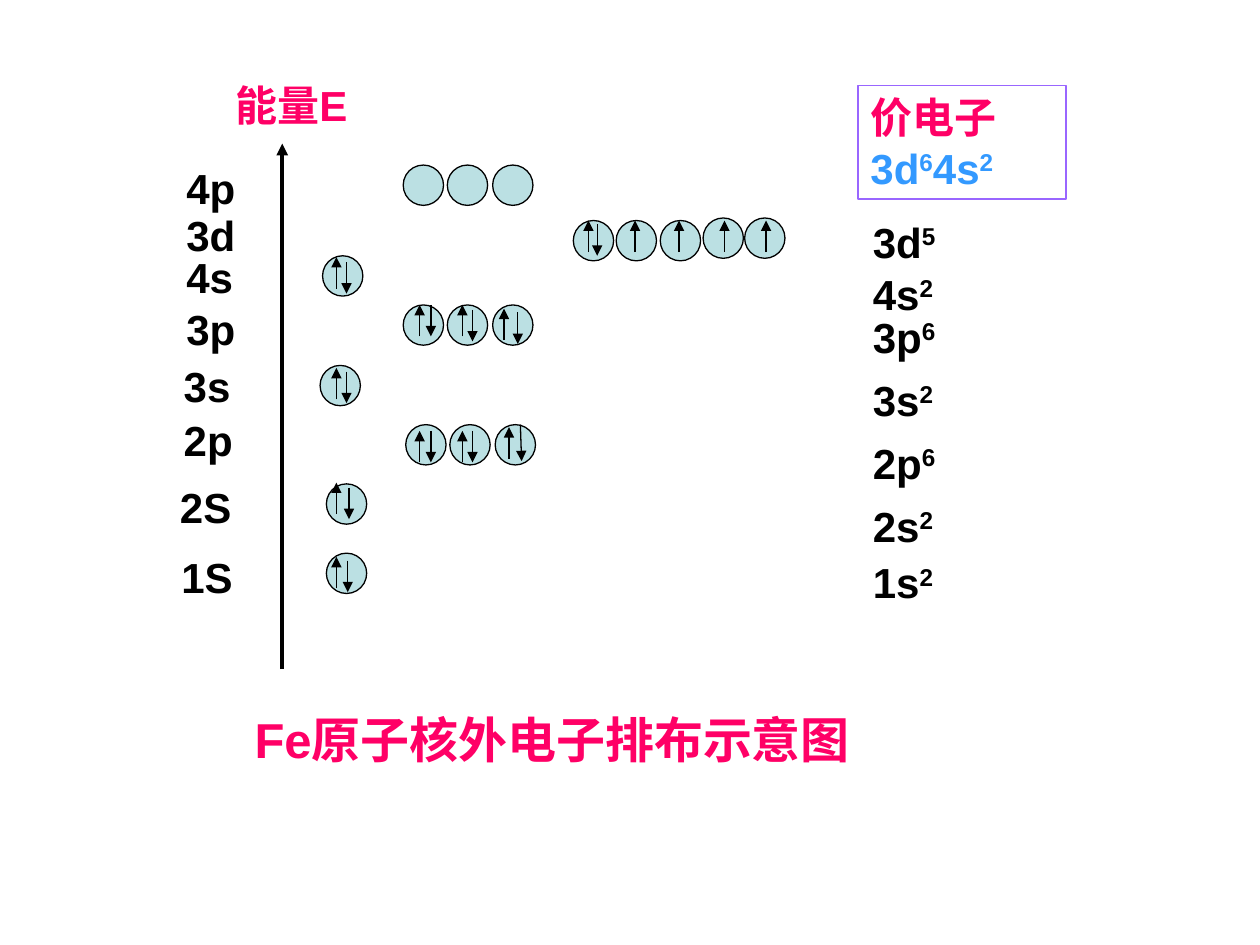
"""Draw the electron energy levels of an iron atom."""
from dataclasses import dataclass
from typing import NamedTuple

from lxml import etree
from pptx import Presentation
from pptx.dml.color import RGBColor
from pptx.enum import shapes, text
from pptx.oxml import ns
from pptx.util import Inches, Pt

BLACK = RGBColor(0x00, 0x00, 0x00)
PINK = RGBColor(0xFF, 0x00, 0x66)
BLUE = RGBColor(0x33, 0x99, 0xFF)
VIOLET = RGBColor(0x99, 0x66, 0xFF)
AQUA = RGBColor(0xBB, 0xE0, 0xE3)

SIZE = 0.32
SPIN = 0.25
HIGH = 0.5


class Spin(NamedTuple):
    x: float
    top: float
    drop: float = SPIN
    lean: float = 0


class Orb(NamedTuple):
    x: float
    y: float
    up: Spin | None = None
    down: Spin | None = None


class Part(NamedTuple):
    words: str
    color: RGBColor = BLACK
    raised: bool = False


@dataclass
class Level:
    name: str
    x: float
    y: float
    orbs: list[Orb]
    count: str = ""
    right: float = 0


LEVELS = [
    Level("1S", 1.34, 4.33, [Orb(2.59, 4.39, Spin(2.67, 4.42), Spin(2.76, 4.45))], "2", 4.37),
    Level("2S", 1.33, 3.77, [Orb(2.59, 3.84, Spin(2.67, 3.83), Spin(2.77, 3.87))], "2", 3.92),
    Level("2p", 1.36, 3.24, [
        Orb(3.22, 3.37, Spin(3.33, 3.42), Spin(3.42, 3.42)),
        Orb(3.57, 3.37, Spin(3.67, 3.42), Spin(3.75, 3.42)),
        Orb(3.93, 3.37, Spin(4.04, 3.39), Spin(4.13, 3.37, 0.29, 0.01)),
    ], "6", 3.42),
    Level("3s", 1.36, 2.81, [Orb(2.54, 2.9, Spin(2.67, 2.92), Spin(2.75, 2.95))], "2", 2.92),
    Level("3p", 1.38, 2.36, [
        Orb(3.2, 2.42, Spin(3.33, 2.42), Spin(3.42, 2.42)),
        Orb(3.55, 2.42, Spin(3.67, 2.42), Spin(3.75, 2.46)),
        Orb(3.91, 2.42, Spin(4, 2.45), Spin(4.11, 2.48)),
    ], "6", 2.42),
    Level("4s", 1.38, 1.95, [Orb(2.56, 2.03, Spin(2.67, 2.04), Spin(2.75, 2.08))], "2", 2.08),
    Level("3d", 1.38, 1.61, [
        Orb(4.55, 1.75, Spin(4.67, 1.75), Spin(4.74, 1.78)),
        Orb(4.89, 1.75, Spin(5.04, 1.75)),
        Orb(5.24, 1.75, Spin(5.39, 1.75)),
        Orb(5.58, 1.73, Spin(5.75, 1.75)),
        Orb(5.91, 1.73, Spin(6.08, 1.75)),
    ], "5", 1.67),
    Level("4p", 1.38, 1.24, [Orb(x, 1.31) for x in (3.2, 3.55, 3.91)]),
]


def write(frame, parts: list[Part], size: float = 24) -> None:
    look = {"word_wrap": True, "auto_size": text.MSO_AUTO_SIZE.NONE,
            "vertical_anchor": text.MSO_ANCHOR.TOP}
    for key, value in look.items():
        setattr(frame, key, value)
    para = frame.paragraphs[0]
    para.alignment = text.PP_ALIGN.LEFT
    for part in parts:
        run = para.add_run()
        run.text = part.words
        for key, value in {"name": "Arial", "size": Pt(size), "bold": True}.items():
            setattr(run.font, key, value)
        run.font.color.rgb = part.color
        if part.raised:
            run._r.get_or_add_rPr().set("baseline", "30000")


def label(slide, x: float, y: float, wide: float, parts: list[Part]) -> None:
    box = slide.shapes.add_textbox(Inches(x), Inches(y), Inches(wide), Inches(HIGH))
    write(box.text_frame, parts)


def arrow(slide, x: float, y: float, end: float, stop: float, width: float = 0.75) -> None:
    line = slide.shapes.add_connector(
        shapes.MSO_CONNECTOR.STRAIGHT, Inches(x), Inches(y), Inches(end), Inches(stop))
    line.line.color.rgb = BLACK
    line.line.width = Pt(width)
    etree.SubElement(line.line._get_or_add_ln(), ns.qn("a:tailEnd"), type="triangle")
    etree.SubElement(line._element.spPr, ns.qn("a:effectLst"))


def circle(slide, orb: Orb) -> None:
    disc = slide.shapes.add_shape(
        shapes.MSO_SHAPE.OVAL, Inches(orb.x), Inches(orb.y), Inches(SIZE), Inches(SIZE))
    disc.shadow.inherit = False
    disc.fill.solid()
    disc.fill.fore_color.rgb = AQUA
    disc.line.color.rgb = BLACK
    disc.line.width = Pt(0.75)
    if orb.up:
        x, top, drop, lean = orb.up
        arrow(slide, x, top + drop, x + lean, top)
    if orb.down:
        x, top, drop, lean = orb.down
        arrow(slide, x, top, x + lean, top + drop)


def level(slide, item: Level) -> None:
    label(slide, item.x, item.y, 0.79, [Part(item.name)])
    for orb in item.orbs:
        circle(slide, orb)
    if item.count:
        label(slide, 6.83, item.right, 1,
              [Part(item.name.lower()), Part(item.count, raised=True)])


def valence(slide) -> None:
    box = slide.shapes.add_shape(
        shapes.MSO_SHAPE.RECTANGLE, Inches(6.81), Inches(0.68), Inches(1.65), Inches(0.9))
    box.shadow.inherit = False
    box.fill.background()
    box.line.color.rgb = VIOLET
    box.line.width = Pt(0.75)
    write(box.text_frame, [Part("价电子", PINK), Part("3d", BLUE), Part("6", BLUE, True),
                           Part("4s", BLUE), Part("2", BLUE, True)])


def title(slide) -> None:
    head = slide.shapes.title
    place = {"left": 1.92, "top": 5.58, "width": 5.15, "height": 0.57}
    for key, value in place.items():
        setattr(head, key, Inches(value))
    write(head.text_frame, [Part("Fe原子核外电子排布示意图", PINK)], 28)


def main() -> None:
    deck = Presentation()
    deck.slide_width, deck.slide_height = Inches(10), Inches(7.5)
    slide = deck.slides.add_slide(deck.slide_layouts[5])
    title(slide)
    arrow(slide, 2.24, 5.31, 2.24, 1.14, 2.25)
    label(slide, 1.77, 0.58, 1.26, [Part("能量E", PINK)])
    for item in LEVELS:
        level(slide, item)
    valence(slide)
    deck.save("out.pptx")


if __name__ == "__main__":
    main()
